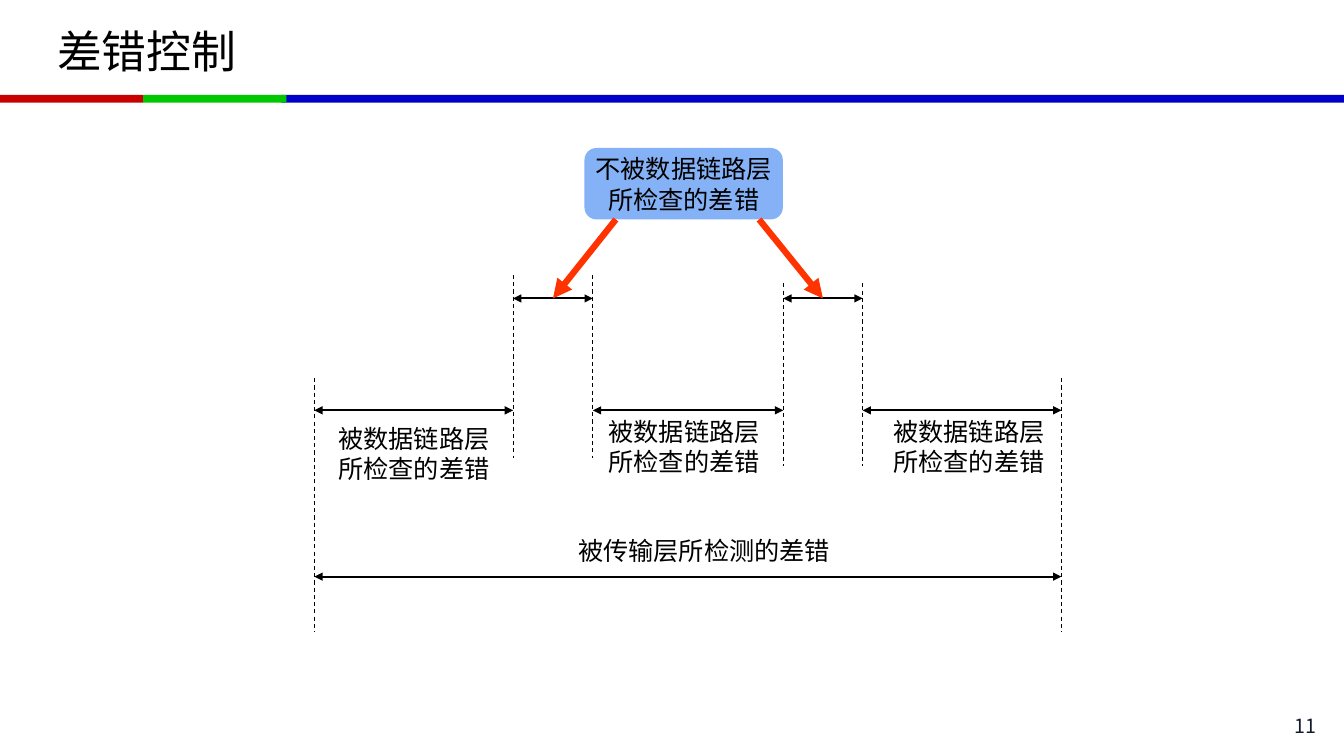
import pptx
import pptx.util
import pptx.dml.color
import pptx.enum.dml
import pptx.enum.shapes
import pptx.enum.text
import pptx.oxml
import pptx.oxml.ns

Cm = pptx.util.Cm
Pt = pptx.util.Pt
Align = pptx.enum.text.PP_ALIGN
Anchor = pptx.enum.text.MSO_ANCHOR
Shape = pptx.enum.shapes.MSO_SHAPE


class ErrorControlSlide:
    """Hold the style and the current slide, and draw each kind of element."""

    FONT = "Noto Sans CJK SC"
    COLOURS = {
        "black": "000000", "number": "12192B", "red": "C80000",
        "green": "00C800", "blue": "0000C8", "callout": "85B2F6",
        "pointer": "FF3300",
    }

    def __init__(self, page):
        self.page = page

    def colour(self, name):
        return pptx.dml.color.RGBColor.from_string(self.COLOURS[name])

    def set_text(self, box, lines, size=18, colour="black", align=Align.CENTER,
                 anchor=Anchor.TOP, spacing=None, wrap=True):
        frame = box.text_frame
        frame.word_wrap = wrap
        frame.vertical_anchor = anchor
        frame.text = "\n".join(lines)
        for para in frame.paragraphs:
            para.alignment = align
            if spacing:
                para.line_spacing = Pt(spacing)
            font = para.font
            font.size = Pt(size)
            font.color.rgb = self.colour(colour)
            font.name = self.FONT
            latin = para._p.pPr.find(".//" + pptx.oxml.ns.qn("a:latin"))
            latin.addnext(pptx.oxml.parse_xml(
                f'<a:ea {pptx.oxml.ns.nsdecls("a")} typeface="{self.FONT}"/>'))

    def text(self, left, top, width, height, lines, **style):
        box = self.page.shapes.add_textbox(
            Cm(left), Cm(top), Cm(width), Cm(height))
        self.set_text(box, lines, **style)

    def block(self, left, top, width, height, fill, kind=Shape.RECTANGLE):
        shape = self.page.shapes.add_shape(
            kind, Cm(left), Cm(top), Cm(width), Cm(height))
        shape.shadow.inherit = False
        shape.fill.solid()
        shape.fill.fore_color.rgb = self.colour(fill)
        shape.line.fill.background()
        return shape

    def line(self, start, end, width, colour="black", dashed=False, arrows=()):
        connector = self.page.shapes.add_connector(
            pptx.enum.shapes.MSO_CONNECTOR.STRAIGHT,
            Cm(start[0]), Cm(start[1]), Cm(end[0]), Cm(end[1]))
        connector.line.width = Pt(width)
        connector.line.color.rgb = self.colour(colour)
        if dashed:
            connector.line.dash_style = pptx.enum.dml.MSO_LINE.DASH
        namespace = pptx.oxml.ns.nsdecls("a")
        outline = connector.line._get_or_add_ln()
        for arrow in arrows:
            outline.append(pptx.oxml.parse_xml(
                f'<a:{arrow} {namespace} type="triangle"/>'))
        connector._element.spPr.append(
            pptx.oxml.parse_xml(f"<a:effectLst {namespace}/>"))


def main():
    deck = pptx.Presentation()
    deck.slide_width, deck.slide_height = Cm(33.87), Cm(19.05)
    slide = ErrorControlSlide(deck.slides.add_slide(deck.slide_layouts[6]))

    for left, width, fill in ((7.09, 26.78, "blue"), (0, 3.61, "red"),
                              (3.61, 3.61, "green")):
        slide.block(left, 2.39, width, 0.2, fill)
    slide.text(30.12, 17.93, 3.3, 0.71, ["11"], size=14, colour="number",
               align=Align.RIGHT, anchor=Anchor.MIDDLE)
    slide.text(1.19, 0.2, 31.47, 2.13, ["差错控制"], size=32,
               align=Align.LEFT, anchor=Anchor.MIDDLE)

    bounds = [7.92, 12.93, 14.94, 19.74, 21.74, 26.75]
    tops = [9.53, 6.93, 6.93, 7.14, 7.14, 9.53]
    bottoms = [15.93, 11.53, 11.53, 11.73, 11.73, 15.93]
    for x, top, bottom in zip(bounds, tops, bottoms):
        slide.line((x, top), (x, bottom), 0.75, dashed=True)

    checked_y, missed_y, transport_y = 10.34, 7.52, 14.53
    spans = [(left, right, missed_y if index % 2 else checked_y)
             for index, (left, right) in enumerate(zip(bounds, bounds[1:]))]
    spans.append((bounds[0], bounds[-1], transport_y))
    for left, right, y in spans:
        slide.line((left, y), (right, y), 1.5, arrows=("headEnd", "tailEnd"))

    callout = slide.block(14.73, 3.73, 5, 1.8, "callout",
                          Shape.ROUNDED_RECTANGLE)
    slide.set_text(callout, ["不被数据链路层", "所检查的差错"],
                   anchor=Anchor.MIDDLE, spacing=22, wrap=False)
    for left, top in ((8.13, 10.52), (14.94, 10.34), (22.12, 10.34)):
        slide.text(left, top, 4.6, 1.8, ["被数据链路层", "所检查的差错"],
                   spacing=22)
    slide.text(13.34, 13.34, 8.81, 1.02, ["被传输层所检测的差错"], spacing=22)

    for start_x, (left, right, y) in zip((15.52, 19.13), spans[1:4:2]):
        slide.line((start_x, 5.53), ((left + right) / 2, y), 4.5,
                   colour="pointer", arrows=("tailEnd",))

    deck.save("out.pptx")


if __name__ == "__main__":
    main()
